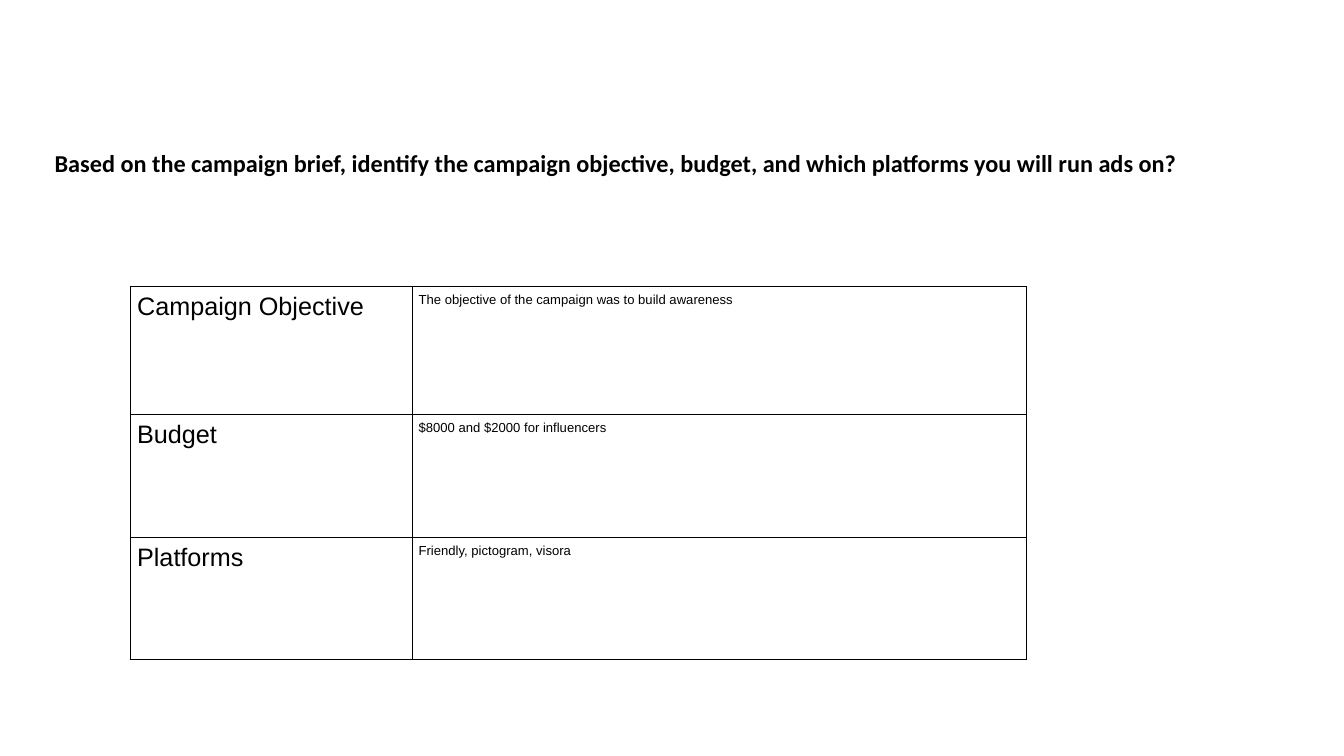
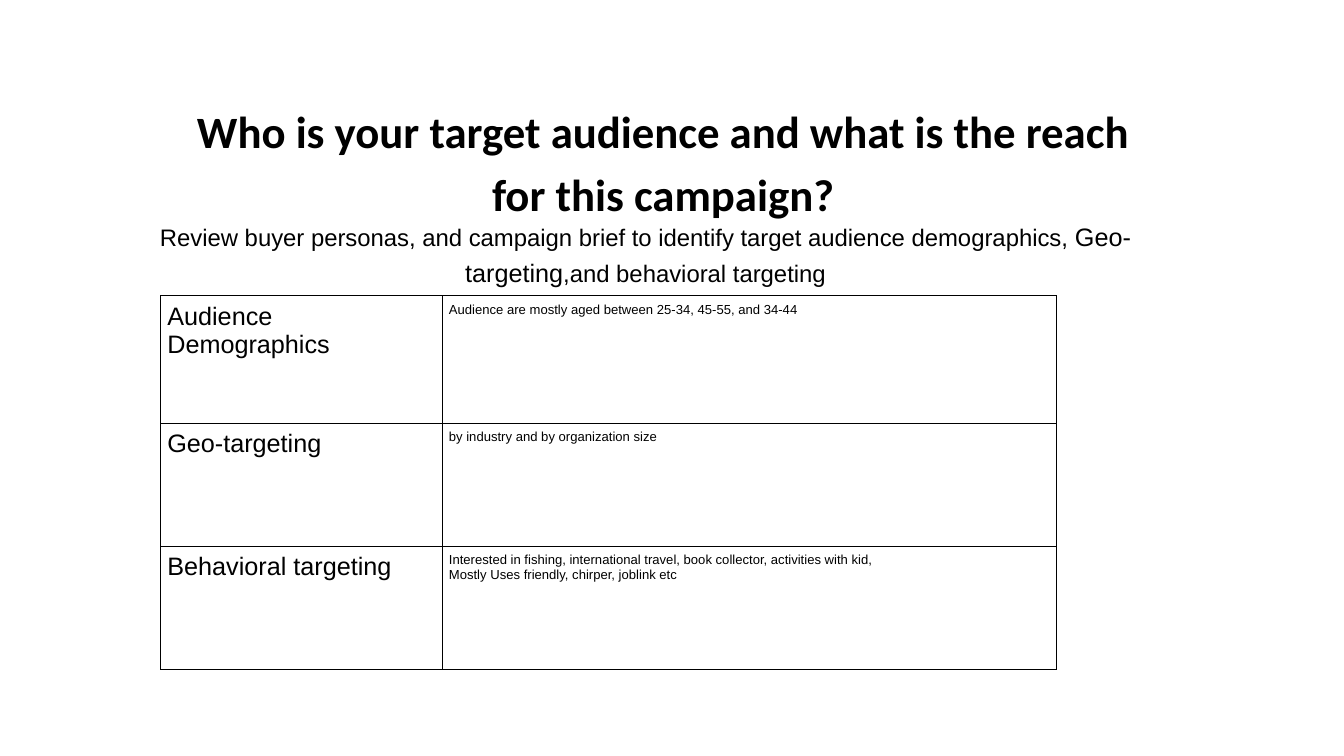
from lxml import etree
from pptx import Presentation
from pptx.dml.color import RGBColor
from pptx.enum.text import MSO_AUTO_SIZE, PP_ALIGN
from pptx.oxml.ns import qn
from pptx.util import Inches, Pt

BLACK = RGBColor(0x00, 0x00, 0x00)
WHITE = RGBColor(0xFF, 0xFF, 0xFF)
CENTER = PP_ALIGN.CENTER
FIT_SHAPE = MSO_AUTO_SIZE.SHAPE_TO_FIT_TEXT

HEADING_FONT = "Calibri"
BODY_FONT = "Arial"
LABEL_SIZE = 27
ANSWER_SIZE = 14
COLUMN_WIDTHS = (4.19, 9.14)
ROW_HEIGHTS = (1.9, 1.83, 1.83)
CELL_MARGIN = Inches(0.1)
BORDER_WIDTH = Pt(1)


def style_font(font, name, size, bold=False):
    font.name = name
    font.size = Pt(size)
    font.bold = bold
    font.color.rgb = BLACK


def add_borders(cell):
    """Draw a thin black line on all four sides; call before setting the fill."""
    properties = cell._tc.get_or_add_tcPr()
    for side in ("a:lnL", "a:lnR", "a:lnT", "a:lnB"):
        line = etree.SubElement(properties, qn(side), w=str(BORDER_WIDTH))
        fill = etree.SubElement(line, qn("a:solidFill"))
        etree.SubElement(fill, qn("a:srgbClr"), val=str(BLACK))


class Worksheet:
    """Holds the deck and the page being filled."""

    def __init__(self):
        self.deck = Presentation()
        self.deck.slide_width = Inches(20)
        self.deck.slide_height = Inches(11.25)
        self.page = None

    def add_page(self):
        self.page = self.deck.slides.add_slide(self.deck.slide_layouts[6])
        self.page.background.fill.solid()
        self.page.background.fill.fore_color.rgb = WHITE

    def add_paragraph_box(self, left, top, width, height, spacing):
        """Add a centred text box without margins and return its paragraph."""
        box = self.page.shapes.add_textbox(
            Inches(left), Inches(top), Inches(width), Inches(height))
        frame = box.text_frame
        frame.word_wrap = True
        frame.auto_size = FIT_SHAPE
        frame.margin_left = frame.margin_right = 0
        frame.margin_top = frame.margin_bottom = 0
        para = frame.paragraphs[0]
        para.alignment = CENTER
        para.line_spacing = spacing
        return para

    def add_question(self, text, left, top, width, height, size, spacing):
        para = self.add_paragraph_box(left, top, width, height, spacing)
        para.text = text
        style_font(para.font, HEADING_FONT, size, bold=True)

    def add_instruction(self, spans, left, top, width, height):
        """Write (text, size) spans as one paragraph."""
        para = self.add_paragraph_box(left, top, width, height, spacing=1.2)
        for text, size in spans:
            span = para.add_run()
            span.text = text
            style_font(span.font, BODY_FONT, size)

    def add_answer_table(self, left, top, rows):
        """Add a table of (label, answer) rows."""
        table = self.page.shapes.add_table(
            len(rows), len(COLUMN_WIDTHS), Inches(left), Inches(top),
            Inches(sum(COLUMN_WIDTHS)), Inches(sum(ROW_HEIGHTS))).table
        table.first_row = table.horz_banding = False
        for column, width in zip(table.columns, COLUMN_WIDTHS):
            column.width = Inches(width)
        for row, height, texts in zip(table.rows, ROW_HEIGHTS, rows):
            row.height = Inches(height)
            for cell, text, size in zip(row.cells, texts, (LABEL_SIZE, ANSWER_SIZE)):
                self.fill_cell(cell, text, size)

    def fill_cell(self, cell, text, size):
        cell.text = text
        cell.margin_left = cell.margin_right = CELL_MARGIN
        cell.margin_top = cell.margin_bottom = CELL_MARGIN
        for para in cell.text_frame.paragraphs:
            style_font(para.font, BODY_FONT, size)
        add_borders(cell)
        cell.fill.background()


def build_campaign_page(sheet):
    sheet.add_page()
    sheet.add_answer_table(1.94, 4.26, [
        ("Campaign Objective", "The objective of the campaign was to build awareness"),
        ("Budget", "$8000 and $2000 for influencers"),
        ("Platforms", "Friendly, pictogram, visora"),
    ])
    sheet.add_question(
        "Based on the campaign brief, identify the campaign objective, budget, "
        "and which platforms you will run ads on?",
        0.36, 2.12, 17.63, 0.96, size=26, spacing=1.2)


def build_audience_page(sheet):
    sheet.add_page()
    sheet.add_question(
        "Who is your target audience and what is the reach for this campaign?",
        2.9, 1.4, 13.94, 1.76, size=48, spacing=1.18)
    sheet.add_instruction([
        ("Review buyer personas, and campaign brief to identify target audience "
         "demographics, ", 25.6),
        ("Geo-targeting", 27),
        (",and behavioral targeting", 25.6),
    ], 1.72, 3.2, 15.77, 0.97)
    sheet.add_answer_table(2.39, 4.4, [
        ("Audience Demographics",
         "Audience are mostly aged between 25-34, 45-55, and 34-44"),
        ("Geo-targeting", "by industry and by organization size"),
        ("Behavioral targeting",
         "Interested in fishing, international travel, book collector, "
         "activities with kid,\nMostly Uses friendly, chirper, joblink etc"),
    ])


def main():
    sheet = Worksheet()
    build_campaign_page(sheet)
    build_audience_page(sheet)
    sheet.deck.save("out.pptx")


if __name__ == "__main__":
    main()
